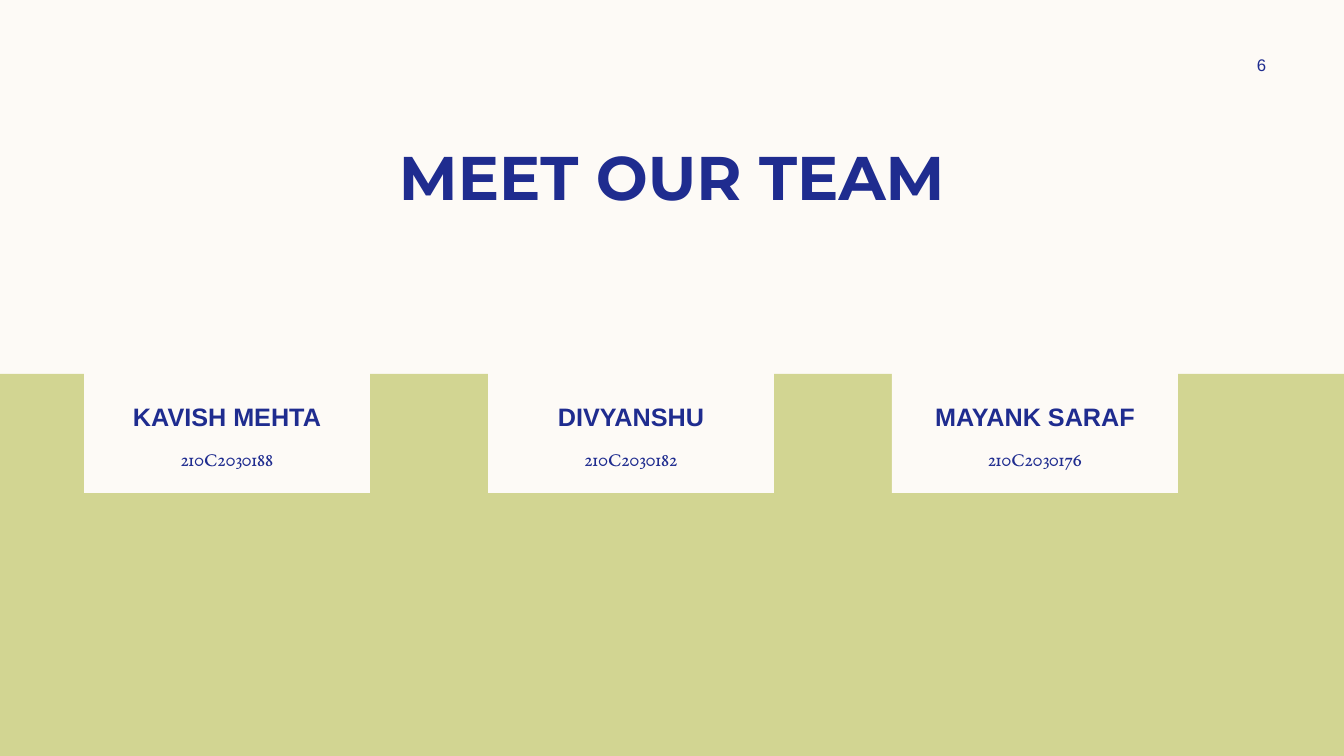
import pptx
import pptx.util
from pptx.dml.color import RGBColor
from pptx.enum.shapes import MSO_SHAPE
from pptx.enum.text import MSO_ANCHOR, PP_ALIGN

HEADING = "MEET OUR TEAM"
PAGE_NUMBER = "6"
TEAM = [
    ("KAVISH MEHTA", "210C2030188"),
    ("DIVYANSHU", "210C2030182"),
    ("MAYANK SARAF", "210C2030176"),
]

COLORS = {"cream": "FDFAF6", "olive": "D2D592", "navy": "1F2C8F"}
PX_PER_INCH = 100.8
SLIDE_W, SLIDE_H = 1344, 756
BAND_TOP = 374
CARD_LEFT, CARD_TOP, CARD_W, CARD_H = 84, 371, 286, 122
CARD_STEP = 404
ID_TOP, ID_W, ID_H = 439, 252, 40


def px(length):
    return pptx.util.Inches(length / PX_PER_INCH)


def rgb(name):
    return RGBColor.from_string(COLORS[name])


def add_block(slide, left, top, width, height, color):
    block = slide.shapes.add_shape(
        MSO_SHAPE.RECTANGLE, px(left), px(top), px(width), px(height))
    block.shadow.inherit = False
    block.fill.solid()
    block.fill.fore_color.rgb = rgb(color)
    block.line.fill.background()
    return block


def write(shape, text, size, font, bold=False, anchor=MSO_ANCHOR.MIDDLE,
          insets=(10, 5, 10, 5)):
    """Put one centred navy line in the shape; insets are left, top, right, bottom."""
    frame = shape.text_frame
    frame.text = text
    frame.word_wrap = True
    frame.vertical_anchor = anchor
    (frame.margin_left, frame.margin_top,
     frame.margin_right, frame.margin_bottom) = map(px, insets)
    line = frame.paragraphs[0]
    line.alignment = PP_ALIGN.CENTER
    run_font = line.runs[0].font
    run_font.size = pptx.util.Pt(size)
    run_font.name = font
    run_font.bold = bold
    run_font.color.rgb = rgb("navy")


def add_label(slide, left, top, width, height, *text_style, **options):
    label = slide.shapes.add_textbox(px(left), px(top), px(width), px(height))
    write(label, *text_style, **options)


def main():
    deck = pptx.Presentation()
    deck.slide_width, deck.slide_height = px(SLIDE_W), px(SLIDE_H)
    slide = deck.slides.add_slide(deck.slide_layouts[6])
    slide.background.fill.solid()
    slide.background.fill.fore_color.rgb = rgb("cream")

    add_block(slide, 0, BAND_TOP, SLIDE_W, SLIDE_H - BAND_TOP, "olive")
    add_label(slide, 84, 134, SLIDE_W - 2 * 84, 85, HEADING, 44, "Montserrat",
              bold=True, anchor=MSO_ANCHOR.TOP)
    add_label(slide, 1207, 50, 109, 30, PAGE_NUMBER, 12, "Arial")

    for index, (member, member_id) in enumerate(TEAM):
        left = CARD_LEFT + index * CARD_STEP
        card = add_block(slide, left, CARD_TOP, CARD_W, CARD_H, "cream")
        write(card, member, 18, "Arial", bold=True, anchor=MSO_ANCHOR.TOP,
              insets=(0, 30, 0, 5))
        add_label(slide, left + (CARD_W - ID_W) // 2, ID_TOP, ID_W, ID_H,
                  member_id, 14, "EB Garamond")

    deck.save("out.pptx")


if __name__ == "__main__":
    main()
